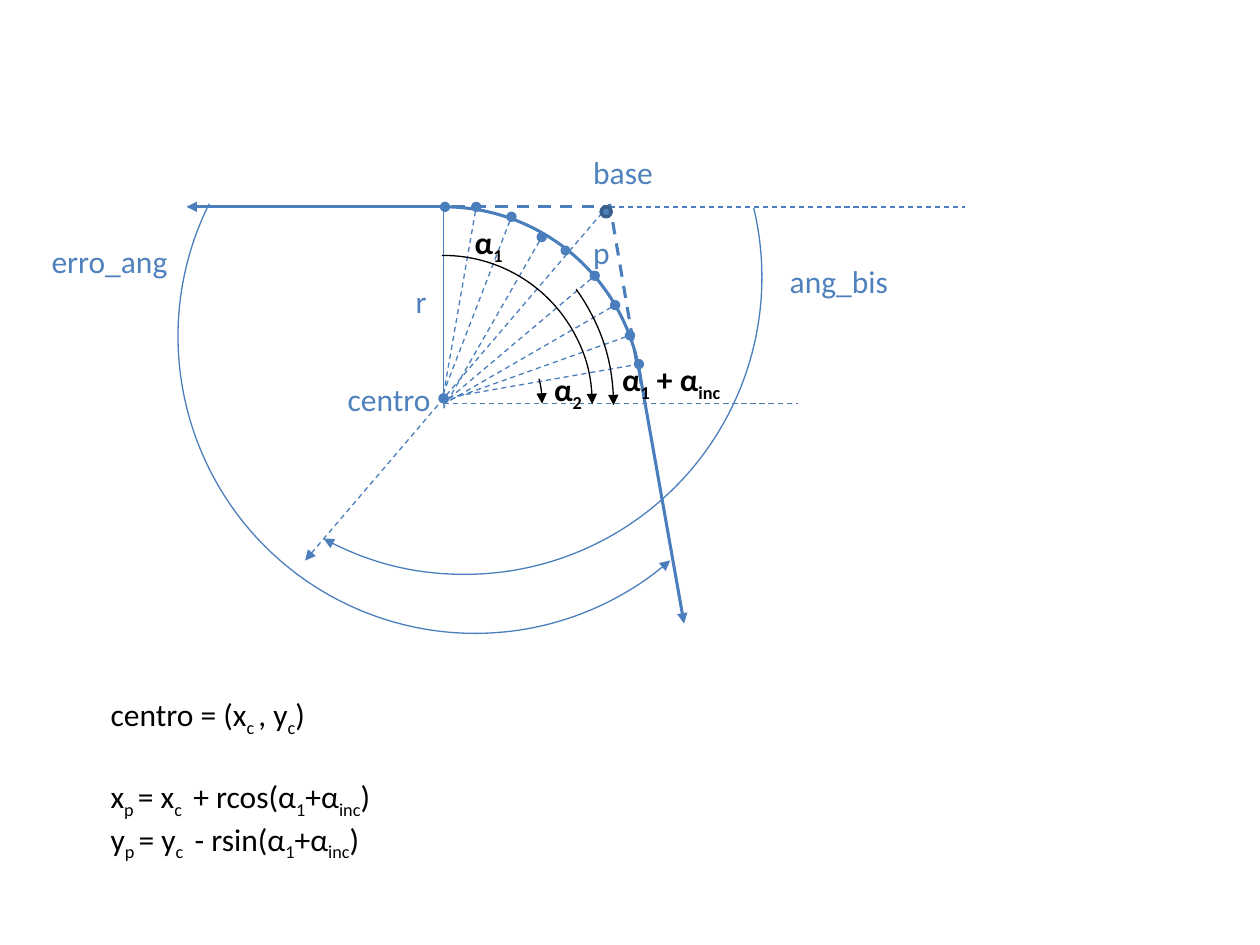
from lxml.etree import SubElement
from pptx import Presentation
from pptx.dml.color import RGBColor
from pptx.enum.dml import MSO_LINE_DASH_STYLE as Dash
from pptx.enum.shapes import MSO_CONNECTOR, MSO_SHAPE
from pptx.enum.text import MSO_AUTO_SIZE
from pptx.oxml.ns import qn
from pptx.util import Cm, Pt

COLORS = {"line": "4B7EBC", "accent": "4F81BD", "edge": "3A5F8C", "black": "000000"}
THIN, THICK = 0.75, 1.75
CENTER_X = 8.94
TOP_Y = 4.17
DOT = 0.2

LINES = [
    ((3.76, TOP_Y), (8.97, TOP_Y), THICK, False, "triangle", "oval"),
    ((13.79, 12.57), (12.85, 7.26), THICK, False, "triangle", None),
    ((6.15, 11.3), (12.24, TOP_Y), THIN, True, "triangle", None),
    ((CENTER_X, TOP_Y), (CENTER_X, 8.18), THIN, False, None, None),
    ((CENTER_X, 8.03), (12.88, 7.34), THIN, True, "oval", "oval"),
    ((12.83, 7.29), (12.29, 4.11), THICK, True, None, None),
    ((9.12, TOP_Y), (12.29, TOP_Y), THICK, True, None, None),
    ((12.29, TOP_Y), (19.46, TOP_Y), THIN, True, None, None),
    ((CENTER_X, 8.13), (16.08, 8.13), THIN, True, None, None),
]
SPOKES = [
    ((9.6, TOP_Y), 7.95),
    ((10.31, 4.37), 7.92),
    ((12.7, 6.76), 8.1),
    ((12.4, 6.15), 8.15),
    ((10.92, 4.78), 8.23),
    ((11.99, 5.56), 8.13),
]
ARCS = [
    ((8.95, 8.17), 4, (270, 353.82), THICK, "line", None, None),
    ((9.58, 6.78), 5.99, (48.96, 206.47), THIN, "line", "triangle", None),
    ((9.37, 5.59), 5.99, (346.53, 118.37), THIN, "line", None, "triangle"),
    ((8.94, 8.15), 3, (269.41, 0), THIN, "black", None, "triangle"),
    ((8.93, 8.14), 2, (345.42, 0), THIN, "black", None, "triangle"),
    ((8.37, 8.17), 4, (324.22, 0), THIN, "black", None, "triangle"),
]
DOTS = [((12.12, TOP_Y), "edge"), ((11.3, 4.95), None)]

BLUE = {"color": "accent", "bold": False}
BOLD = {"color": "black", "bold": True}
PLAIN = {"color": "black", "bold": False}
LABELS = [
    ((0.79, 4.75, 4.78, 1.02), BLUE, [["erro_ang"]]),
    ((15.67, 5.16, 2.59, 1.02), BLUE, [["ang_bis"]]),
    ((11.71, 2.97, 1.78, 1.02), BLUE, [["base"]]),
    ((6.76, 7.54, 2.39, 1.02), BLUE, [["centro"]]),
    ((8.13, 5.56, 0.79, 1.02), BLUE, [["r"]]),
    ((11.71, 4.57, 0.58, 1.02), BLUE, [["p"]]),
    ((10.92, 7.34, 1.19, 1.02), BOLD, [["α", "2"]]),
    ((9.32, 4.37, 1.19, 1.02), BOLD, [["α", "1"]]),
    ((12.29, 7.14, 4.17, 1.02), BOLD, [["α", "1", " + α", "inc"]]),
    ((1.98, 13.89, 10.72, 5.64), PLAIN, [
        ["centro = (x", "c ", ", y", "c", ")"],
        ["x", "p ", "= x", "c ", " + rcos(α", "1", "+α", "inc", ")"],
        ["y", "p ", "= y", "c ", " - rsin(α", "1", "+α", "inc", ")"],
    ]),
]


def rgb(name):
    return RGBColor.from_string(COLORS[name])


def style_line(shape, color, width, dashed=False, head=None, tail=None):
    shape.line.color.rgb = rgb(color)
    shape.line.width = Pt(width)
    if dashed:
        shape.line.dash_style = Dash.DASH
    line = shape.line._get_or_add_ln()
    for tag, end in (("a:headEnd", head), ("a:tailEnd", tail)):
        if end:
            SubElement(line, qn(tag), type=end)


def add_line(slide, start, end, width, dashed, head, tail):
    points = [Cm(value) for value in (*start, *end)]
    connector = slide.shapes.add_connector(MSO_CONNECTOR.STRAIGHT, *points)
    style_line(connector, "line", width, dashed, head, tail)
    SubElement(connector._element.spPr, qn("a:effectLst"))


def add_round(slide, kind, center, radius):
    left, top = (Cm(value - radius) for value in center)
    shape = slide.shapes.add_shape(kind, left, top, Cm(2 * radius), Cm(2 * radius))
    shape.shadow.inherit = False
    return shape


def add_arc(slide, center, radius, angles, width, color, head, tail):
    arc = add_round(slide, MSO_SHAPE.ARC, center, radius)
    for index, degrees in enumerate(angles):
        arc.adjustments[index] = degrees * 0.6
    arc.fill.background()
    style_line(arc, color, width, head=head, tail=tail)


def add_dot(slide, corner, edge):
    center = [value + DOT / 2 for value in corner]
    dot = add_round(slide, MSO_SHAPE.OVAL, center, DOT / 2)
    dot.fill.solid()
    dot.fill.fore_color.rgb = rgb("accent")
    if edge:
        style_line(dot, edge, 2)
    else:
        dot.line.fill.background()


def add_label(slide, box, style, rows):
    frame = slide.shapes.add_textbox(*map(Cm, box)).text_frame
    frame.word_wrap = True
    frame.auto_size = MSO_AUTO_SIZE.SHAPE_TO_FIT_TEXT
    for row_index, pieces in enumerate(rows):
        paragraph = frame.add_paragraph() if row_index else frame.paragraphs[0]
        if row_index == 1:
            paragraph.space_before = Pt(22)
        for piece_index, text in enumerate(pieces):
            run = paragraph.add_run()
            run.text = text
            font_format = {"name": "Calibri", "size": Pt(18), "bold": style["bold"]}
            for name, value in font_format.items():
                setattr(run.font, name, value)
            run.font.color.rgb = rgb(style["color"])
            if piece_index % 2:
                run.font._element.set("baseline", "-25000")


def main():
    presentation = Presentation()
    presentation.slide_width, presentation.slide_height = Cm(25.4), Cm(19.05)
    slide = presentation.slides.add_slide(presentation.slide_layouts[6])
    for line in LINES:
        add_line(slide, *line)
    for point, center_y in SPOKES:
        add_line(slide, point, (CENTER_X, center_y), THIN, True, "oval", None)
    for arc in ARCS:
        add_arc(slide, *arc)
    for dot in DOTS:
        add_dot(slide, *dot)
    for label in LABELS:
        add_label(slide, *label)
    presentation.save("out.pptx")


if __name__ == "__main__":
    main()
